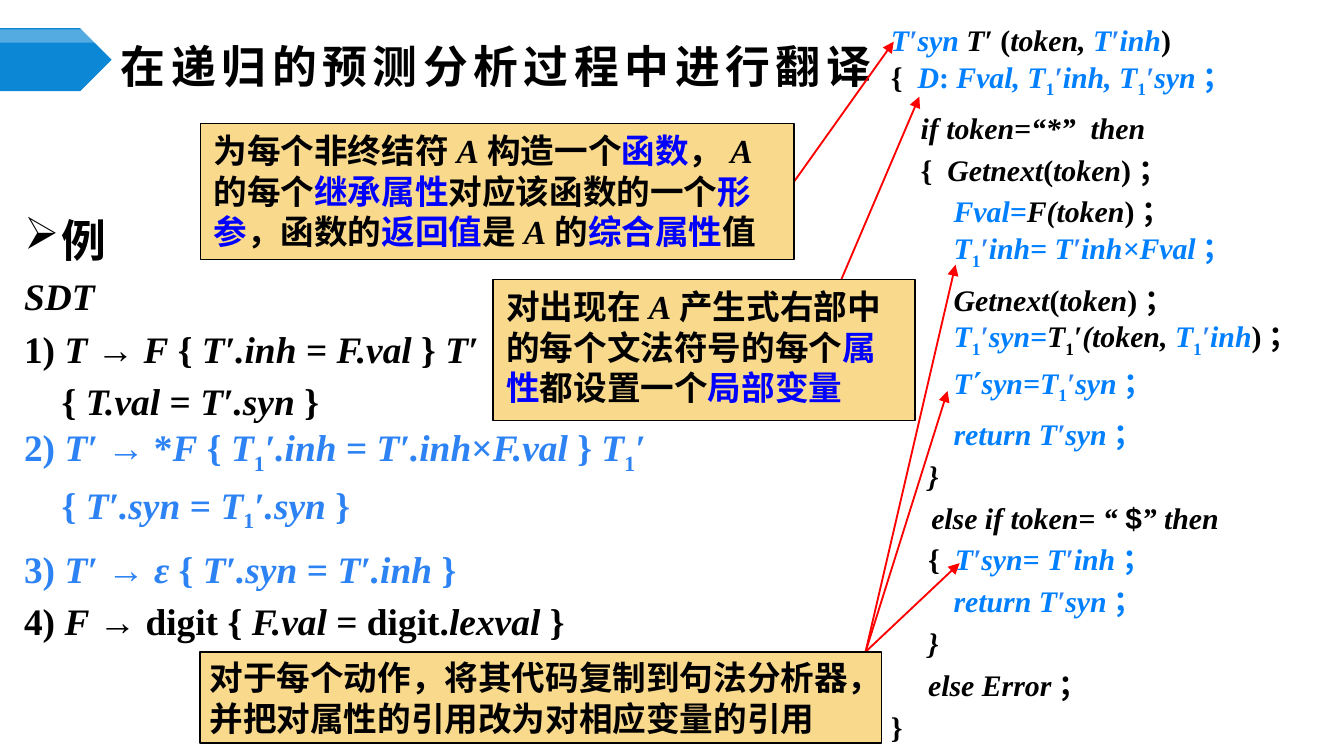
from itertools import groupby

from lxml import etree
from pptx import Presentation
from pptx.dml.color import RGBColor
from pptx.enum.shapes import MSO_CONNECTOR, MSO_SHAPE
from pptx.enum.text import MSO_ANCHOR, PP_ALIGN
from pptx.oxml.ns import qn
from pptx.util import Pt

LINE = MSO_CONNECTOR.STRAIGHT
RECT, PLATE = MSO_SHAPE.RECTANGLE, MSO_SHAPE.PENTAGON
TOP, MIDDLE = MSO_ANCHOR.TOP, MSO_ANCHOR.MIDDLE
LEFT = PP_ALIGN.LEFT

BLACK = RGBColor(0x00, 0x00, 0x00)
WHITE = RGBColor(0xFF, 0xFF, 0xFF)
RED = RGBColor(0xFF, 0x00, 0x00)
SAND = RGBColor(0xF9, 0xD9, 0x8C)
OCEAN = RGBColor(0x0B, 0x87, 0xD6)
AZURE = RGBColor(0x00, 0x80, 0xFF)
SKY = RGBColor(0x2D, 0x83, 0xF4)
BLUE = RGBColor(0x00, 0x00, 0xFF)

SERIF, SANS, HAN = "Times New Roman", "Arial", "Noto Sans CJK SC"

TITLE = "在递归的预测分析过程中进行翻译"
CODE = [
    "~[T′syn] T′ ~(~token, [T′inh]~)",
    "{  [~D~: ~Fval, T~_1~′inh, T~_1~′syn~；]",
    "    ~if token=“*”  then~",
    "    {  ~Getnext~(~token~)；",
    "\t   ~[Fval=]F(token~)；",
    "\t   [~T~_1~′inh= T′inh×Fval~；]",
    "\t   ~Getnext~(~token~)；",
    "\t   [~T~_1~′syn=]T~_1~′(token, [T~_1~′inh]~)；",
    "\t   [~T΄syn=T~_1~′syn~；]",
    "\t   [~return T′syn~；]",
    "     ~}~",
    "\t~else if token= “ ~$~” then~",
    "     {  [~T′syn= T′inh~；]",
    "\t   [~return T′syn~；]",
    "     ~}~",
    "     ~else Error~；",
    "}",
]
RULES = [
    "~SDT~",
    "1) ~T ~→ ~F~ { ~T′.inh ~= ~F.val~ } ~T′~",
    "\t{ ~T.val ~= ~T′.syn~ }",
    "[2) ~T′ ~→ *~F~ { ~T~_1~′.inh ~= ~T′.inh~×~F.val~ } ~T~_1~′~]",
    "[\t{ ~T′.syn ~= ~T~_1~′.syn~ }]",
    "[3) ~T′ ~→ ~ε ~{ ~T′.syn ~= ~T′.inh~ }]",
    "4) ~F~ → digit { ~F.val~ = digit.~lexval~ }",
]
CALL = "为每个非终结符~A~构造一个[函数]，~A~的每个[继承属性]对应该函数的一个[形参]，函数的[返回值]是~A~的[综合属性]值"
LOCAL = "对出现在~A~产生式右部中的每个文法符号的每个[属性]都设置一个[局部变量]"
COPY = "对于每个动作，将其代码复制到句法分析器，并把对属性的引用改为对相应变量的引用"


def parts(text, tint):
    """Split marked text into runs: ~ toggles italic, [ ] tint, _ lowers the next character."""
    slant = lit = low = False
    marks = []
    for char in text:
        if char == "~":
            slant = not slant
        elif char in "[]":
            lit = char == "["
        elif char == "_":
            low = True
        else:
            shade = (SKY if char == "′" else tint) if lit else BLACK
            marks.append((char, (slant, shade, low, char == "$")))
            low = False
    for style, group in groupby(marks, key=lambda mark: mark[1]):
        yield "".join(mark[0] for mark in group), style


def frame(shape, side, edge, anchor=TOP):
    """Set up the text frame of a shape and return it."""
    body = shape.text_frame
    body.word_wrap = True
    body.vertical_anchor = anchor
    body.margin_left = body.margin_right = Pt(side)
    body.margin_top = body.margin_bottom = Pt(edge)
    return body


def write(para, text, size, face, tint=BLACK, hang=0, bullet="", first=True):
    """Fill one paragraph with marked text."""
    props = para._p.get_or_add_pPr()
    if hang:
        props.set("marL", str(Pt(hang)))
        props.set("indent", str(-Pt(hang)))
    if bullet:
        etree.SubElement(props, qn("a:buChar")).set("char", bullet)
    para.alignment = LEFT
    para.line_spacing = Pt(1.2 * size)
    para.space_before = Pt(0 if first else 0.2 * size)
    para.space_after = Pt(0.15 * size if "_" in text else 0)
    para.font.size, para.font.name, para.font.bold = Pt(size), face, True
    for words, (slant, shade, low, plain) in parts(text, tint):
        run = para.add_run()
        run.text = words
        run.font.italic = slant
        run.font.color.rgb = shade
        if plain:
            run.font.name = SANS
        if low:
            run._r.get_or_add_rPr().set("baseline", "-25000")


def arrow(slide, start, end):
    """Draw a red arrow between two points."""
    link = slide.shapes.add_connector(LINE, *map(Pt, start + end))
    link.line.color.rgb = RED
    link.line.width = Pt(1)
    etree.SubElement(link.line._get_or_add_ln(), qn("a:tailEnd")).set("type", "triangle")
    etree.SubElement(link._element.spPr, qn("a:effectLst"))


def note(slide, box, text, face, start, ends, side=7.2, edge=3.6, rim=0.75):
    """Draw a sand note with arrows from one point to its targets."""
    for end in ends:
        arrow(slide, start, end)
    shape = slide.shapes.add_shape(RECT, *map(Pt, box))
    shape.shadow.inherit = False
    shape.fill.solid()
    shape.fill.fore_color.rgb = SAND
    shape.line.color.rgb = BLACK
    shape.line.width = Pt(rim)
    write(frame(shape, side, edge).paragraphs[0], text, 18, face, BLUE)


def badge(slide, box):
    """Draw the blue plate with a pale band along its top."""
    left, top, width, height = box
    bands = ((top, height, OCEAN), (top + 0.7, 0.21 * height, WHITE))
    for place, depth, shade in bands:
        shape = slide.shapes.add_shape(PLATE, Pt(left), Pt(place), Pt(width), Pt(depth))
        shape.shadow.inherit = False
        shape.fill.solid()
        shape.fill.fore_color.rgb = shade
        shape.line.fill.background()
    tone = shape._element.spPr.find(qn("a:solidFill"))[0]
    etree.SubElement(tone, qn("a:alpha")).set("val", "30000")


def title(slide, box):
    """Write the slide title with wide letter spacing."""
    body = frame(slide.shapes.add_textbox(*map(Pt, box)), 5, 2.9, MIDDLE)
    write(body.paragraphs[0], TITLE, 24, HAN)
    body.paragraphs[0].runs[0]._r.get_or_add_rPr().set("spc", "300")


def code(slide, box):
    """Write the parsing function."""
    body = frame(slide.shapes.add_textbox(*map(Pt, box)), 5, 2.9)
    for row, text in enumerate(CODE):
        para = body.add_paragraph() if row else body.paragraphs[0]
        write(para, text, 16, SERIF, AZURE, 21.6, first=not row)


def rules(slide, box):
    """Write the heading and the translation scheme below it."""
    body = frame(slide.shapes.add_textbox(*map(Pt, box)), 5, 2.9)
    write(body.paragraphs[0], "例", 24, HAN, hang=20.2, bullet="➢")
    for text in RULES:
        write(body.add_paragraph(), text, 20, SERIF, SKY, 20.2, first=False)


def main():
    """Build and save the slide."""
    deck = Presentation()
    deck.slide_width, deck.slide_height = Pt(720), Pt(405)
    slide = deck.slides.add_slide(deck.slide_layouts[6])
    code(slide, (472.3, 8.6, 236.2, 374.4))
    note(slide, (107.3, 349.2, 365, 49), COPY, HAN, (463.7, 349.2),
         [(511.9, 141.8), (507.6, 209.5), (514.1, 301.7)], 5, 2.9, 1)
    badge(slide, (0, 15.1, 59.8, 33.8))
    rules(slide, (7.9, 110.9, 357.8, 238.3))
    title(slide, (59.8, 20.9, 624.2, 28.1))
    note(slide, (107.3, 66.2, 318.2, 72.7), CALL, SERIF, (425.5, 97.2), [(478.8, 22.3)])
    note(slide, (264.2, 149.8, 226.1, 75.6), LOCAL, SERIF, (450.7, 149.8), [(492.5, 51.8)])
    deck.save("out.pptx")


if __name__ == "__main__":
    main()
